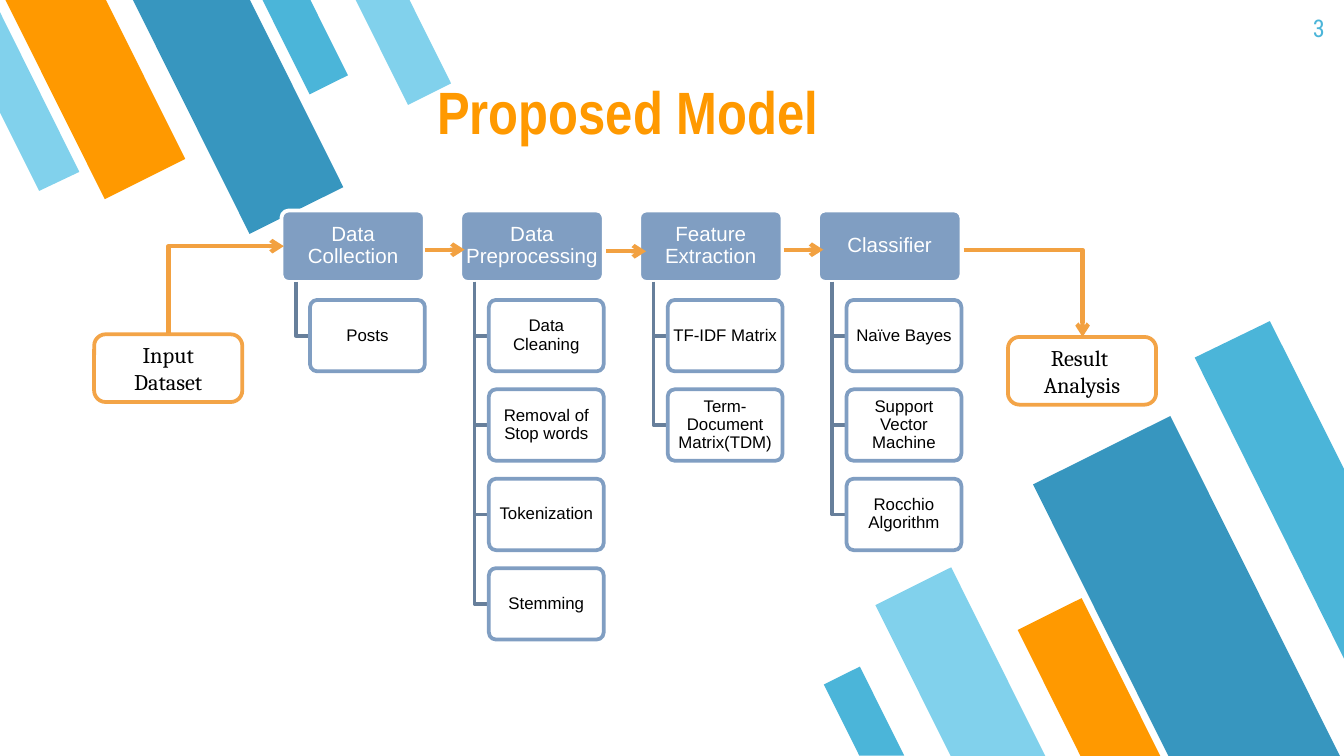
"""Build the Proposed Model slide: a four-stage text classification pipeline."""
from lxml.etree import SubElement
from pptx import Presentation
from pptx.dml.color import RGBColor
from pptx.enum.shapes import MSO_CONNECTOR, MSO_SHAPE
from pptx.enum.text import MSO_ANCHOR, MSO_AUTO_SIZE, PP_ALIGN
from pptx.oxml.ns import qn
from pptx.util import Cm, Pt

WHITE = RGBColor(0xFF, 0xFF, 0xFF)
BLACK = RGBColor(0x00, 0x00, 0x00)
ORANGE = RGBColor(0xFF, 0x99, 0x00)
DEEP_BLUE = RGBColor(0x37, 0x96, 0xBF)
MID_BLUE = RGBColor(0x4B, 0xB5, 0xD9)
PALE_BLUE = RGBColor(0x81, 0xD1, 0xEC)
STAGE_BLUE = RGBColor(0x80, 0x9E, 0xC2)
BRANCH_BLUE = RGBColor(0x67, 0x7F, 0x9B)
BOX_ORANGE = RGBColor(0xF3, 0xA4, 0x47)
ARROW_ORANGE = RGBColor(0xF2, 0xA1, 0x41)

TITLE_FONT = {"name": "Arial Narrow", "size": Pt(32), "bold": True}
NUMBER_FONT = {"name": "Roboto Condensed", "size": Pt(13)}
STAGE_FONT = {"name": "Arial", "size": Pt(11)}
STEP_FONT = {"name": "Arial", "size": Pt(9)}
END_FONT = {"name": "Cambria", "size": Pt(12)}
TIGHT = {"margin_left": Cm(0.05), "margin_right": Cm(0.05),
         "margin_top": Cm(0.03), "margin_bottom": Cm(0.03)}

LOWER_ANGLE, UPPER_ANGLE = 153.5, 333.5
BARS = [
    (17.35, 10.87, 1.6, 3.99, LOWER_ANGLE, PALE_BLUE),
    (20.98, 8.13, 2.9, 7.21, LOWER_ANGLE, DEEP_BLUE),
    (19.91, 11.43, 1.35, 3.35, LOWER_ANGLE, ORANGE),
    (15.95, 12.67, 0.76, 1.88, LOWER_ANGLE, MID_BLUE),
    (5.36, -0.3, 0.81, 2.01, UPPER_ANGLE, MID_BLUE),
    (0.94, -0.66, 1.7, 4.27, UPPER_ANGLE, ORANGE),
    (3.51, -0.71, 1.98, 4.95, UPPER_ANGLE, DEEP_BLUE),
    (7.16, -0.36, 0.91, 2.26, UPPER_ANGLE, PALE_BLUE),
]
EDGE_BARS = [
    ([(24, 6.07), (22.58, 6.76), (25.4, 12.45), (25.4, 8.86)], MID_BLUE),
    ([(0.74, 3.61), (1.5, 3.25), (0, 0.23), (0, 2.13)], PALE_BLUE),
]
STAGES = [
    ("Data Collection", ["Posts"]),
    ("Data Preprocessing", ["Data Cleaning", "Removal of Stop words", "Tokenization", "Stemming"]),
    ("Feature Extraction", ["TF-IDF Matrix", "Term-Document Matrix(TDM)"]),
    ("Classifier", ["Naïve Bayes", "Support Vector Machine", "Rocchio Algorithm"]),
]
STAGE_LEFT, STAGE_TOP, STAGE_PITCH, STAGE_WIDTH = 5.32, 3.98, 3.38, 2.71
BOX_HEIGHT, STEP_GAP, STEP_INDENT, STEP_WIDTH = 1.35, 0.34, 0.54, 2.17


def apply_format(target, values):
    """Set each attribute named in a dict of format values."""
    for name, value in values.items():
        setattr(target, name, value)


def write_text(shape, text, font, color, alignment, frame_format, spacing=1.0):
    """Fill a shape with one formatted paragraph per line of text."""
    frame = shape.text_frame
    frame.text = text
    apply_format(frame, {"word_wrap": True, **frame_format})
    for paragraph in frame.paragraphs:
        apply_format(paragraph, {"alignment": alignment, "line_spacing": spacing})
        apply_format(paragraph.runs[0].font, font)
        paragraph.runs[0].font.color.rgb = color


def add_bar(slide, left, top, width, height, angle, color):
    """Add a slanted decorative bar."""
    bar = slide.shapes.add_shape(MSO_SHAPE.FLOWCHART_MANUAL_INPUT,
                                 Cm(left), Cm(top), Cm(width), Cm(height))
    bar.rotation = angle
    bar._element.spPr.xfrm.set("flipH", "1")
    paint(bar, color)


def paint(shape, fill=None, line=None):
    """Give a shape a flat fill and outline, without a shadow."""
    shape.shadow.inherit = False
    for part, color in ((shape.fill, fill), (shape.line.fill, line)):
        if color is None:
            part.background()
        else:
            part.solid()
            part.fore_color.rgb = color
    if line is not None:
        shape.line.width = Pt(2)


def add_outline(slide, points, fill=None, line=None):
    """Add a freeform, closed when it is filled."""
    corners = [(Cm(x), Cm(y)) for x, y in points]
    builder = slide.shapes.build_freeform(*corners[0])
    builder.add_line_segments(corners[1:], close=fill is not None)
    paint(builder.convert_to_shape(), fill, line)


def add_box(slide, left, top, width, height, text, font, colors, rounding, frame_format, spacing=1.0):
    """Add a rounded box with centred text; colors are fill, line and font."""
    box = slide.shapes.add_shape(MSO_SHAPE.ROUNDED_RECTANGLE,
                                 Cm(left), Cm(top), Cm(width), Cm(height))
    box.adjustments[0] = rounding
    fill, line, font_color = colors
    paint(box, fill, line)
    write_text(box, text, font, font_color, PP_ALIGN.CENTER,
               {"vertical_anchor": MSO_ANCHOR.MIDDLE, **frame_format}, spacing)


def add_stage(slide, left, name, steps):
    """Add a stage heading with its steps hanging below on branches."""
    add_box(slide, left, STAGE_TOP, STAGE_WIDTH, BOX_HEIGHT, name, STAGE_FONT,
            (STAGE_BLUE, WHITE, WHITE), 0.1, TIGHT, 0.9)
    trunk, step_left = left + STEP_INDENT / 2, left + STEP_INDENT
    stage_bottom = STAGE_TOP + BOX_HEIGHT
    for index, step in enumerate(steps):
        top = stage_bottom + STEP_GAP + index * (BOX_HEIGHT + STEP_GAP)
        middle = top + BOX_HEIGHT / 2
        add_outline(slide, [(trunk, stage_bottom), (trunk, middle), (step_left, middle)],
                    line=BRANCH_BLUE)
        add_box(slide, step_left, top, STEP_WIDTH, BOX_HEIGHT, step, STEP_FONT,
                (WHITE, STAGE_BLUE, BLACK), 0.1, TIGHT, 0.9)


def add_arrow(slide, start, end, bent=False, transform=None):
    """Add a straight or one-bend arrow, optionally turned and flipped."""
    kind = MSO_CONNECTOR.ELBOW if bent else MSO_CONNECTOR.STRAIGHT
    arrow = slide.shapes.add_connector(kind, *(Cm(value) for value in (*start, *end)))
    arrow.line.color.rgb = ARROW_ORANGE
    arrow.line.width = Pt(2.25)
    properties = arrow._element.spPr
    if bent:
        properties.find(qn("a:prstGeom")).set("prst", "bentConnector2")
    for name, value in (transform or {}).items():
        properties.xfrm.set(name, value)
    SubElement(arrow.line._get_or_add_ln(), qn("a:tailEnd"), type="arrow")
    SubElement(properties, qn("a:effectLst"))


def add_title(slide):
    """Place and format the title placeholder."""
    title = slide.shapes.title
    apply_format(title, {"left": Cm(8.01), "top": Cm(1.28), "width": Cm(8.38), "height": Cm(1.63)})
    write_text(title, "Proposed Model", TITLE_FONT, ORANGE, PP_ALIGN.LEFT,
               {"vertical_anchor": MSO_ANCHOR.TOP, "auto_size": MSO_AUTO_SIZE.NONE})


def add_page_number(slide):
    """Add the page number in the top right corner."""
    number = slide.shapes.add_textbox(Cm(23.77), Cm(0), Cm(1.52), Cm(1.09))
    write_text(number, "3", NUMBER_FONT, MID_BLUE, PP_ALIGN.RIGHT,
               {"margin_top": Cm(0.25), "margin_bottom": Cm(0.25)})


def main():
    """Build and save the slide."""
    presentation = Presentation()
    apply_format(presentation, {"slide_width": Cm(25.4), "slide_height": Cm(14.29)})
    slide = presentation.slides.add_slide(presentation.slide_layouts[5])
    for bar in BARS:
        add_bar(slide, *bar)
    for points, color in EDGE_BARS:
        add_outline(slide, points, fill=color)
    add_title(slide)
    add_page_number(slide)
    for index, (name, steps) in enumerate(STAGES):
        add_stage(slide, STAGE_LEFT + index * STAGE_PITCH, name, steps)
    for left, top, text in ((1.78, 6.32, "Input Dataset"), (19.05, 6.37, "Result \nAnalysis")):
        add_box(slide, left, top, 2.8, 1.28, text, END_FONT, (WHITE, BOX_ORANGE, BLACK), 0.17, {})
    for left, top in ((8.03, 4.72), (11.46, 4.75), (14.81, 4.72)):
        add_arrow(slide, (left, top), (left + 0.75, top))
    add_arrow(slide, (3.45, 4.39), (5.1, 6.57), bent=True,
              transform={"rot": "5400000", "flipH": "1", "flipV": "1"})
    add_arrow(slide, (18.21, 4.72), (20.46, 6.37), bent=True)
    presentation.save("out.pptx")


if __name__ == "__main__":
    main()
